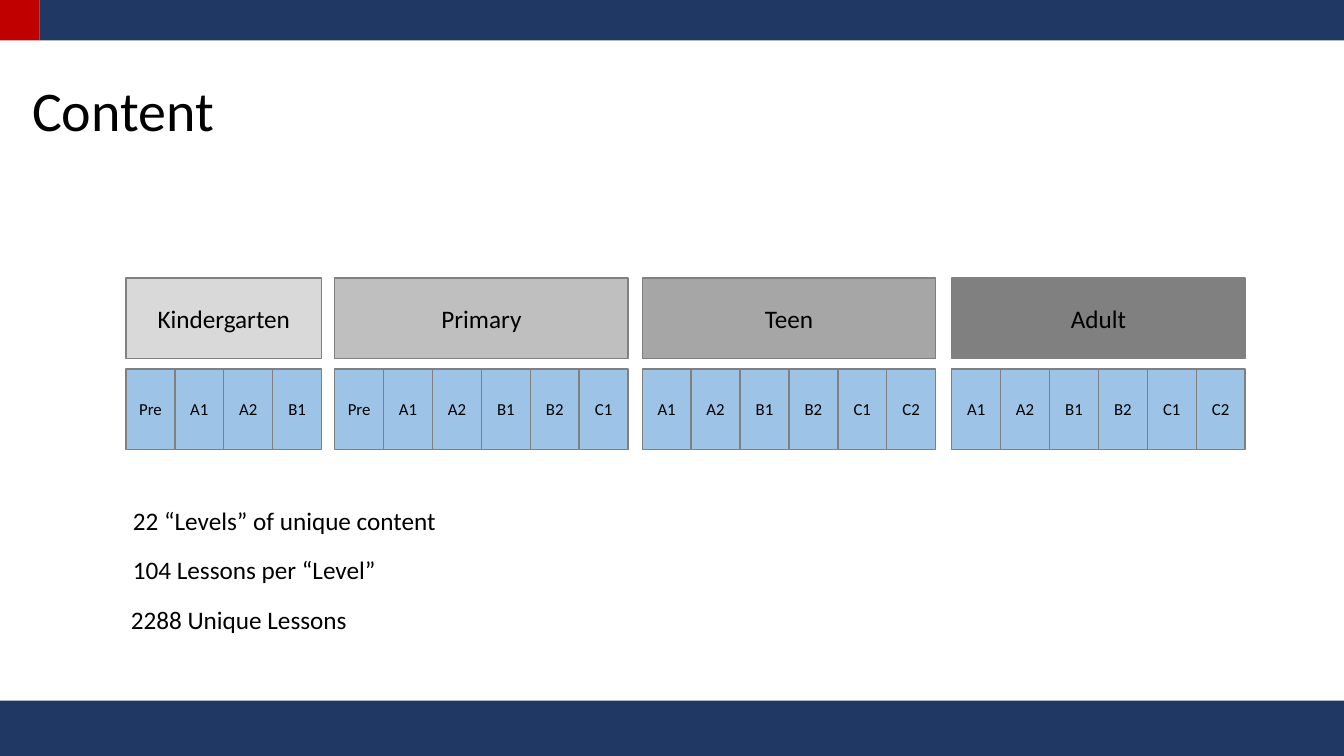
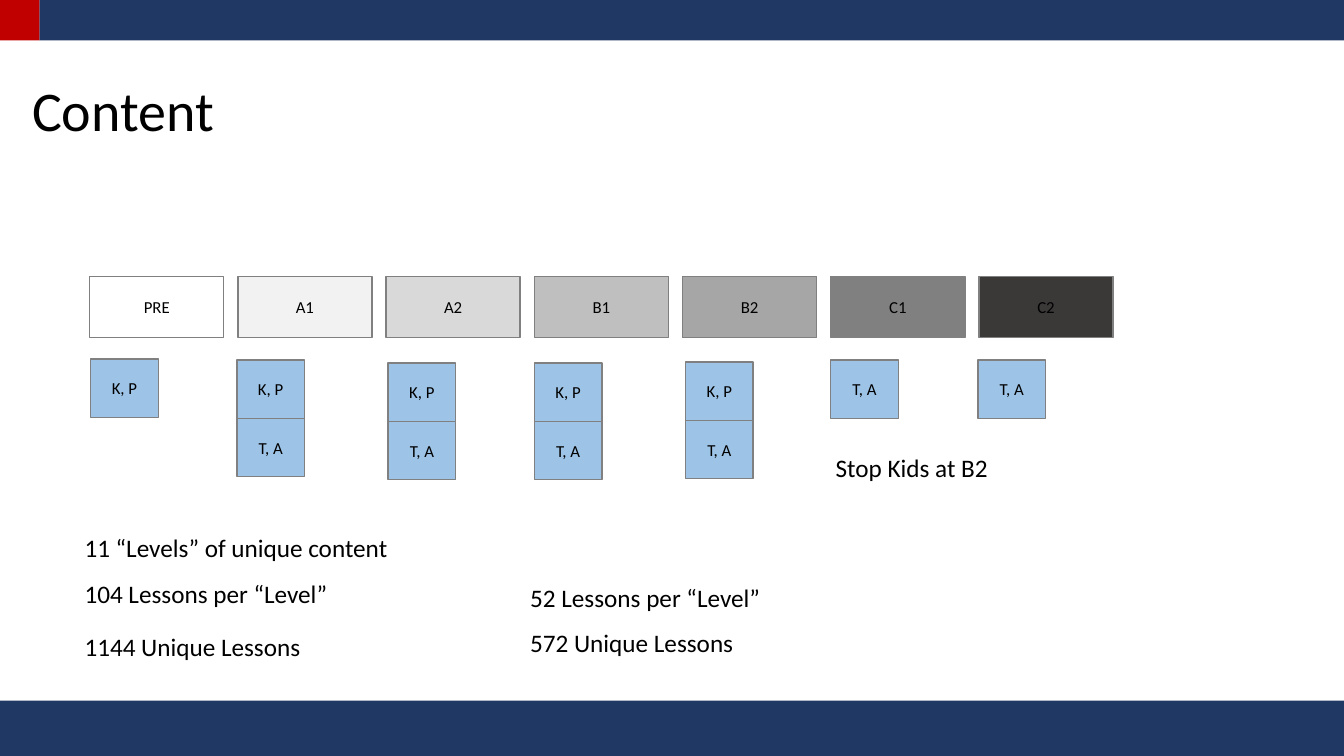
"""Build two slides that compare ways of dividing lesson content into levels."""
from typing import NamedTuple

from pptx import Presentation
from pptx import util as u
from pptx.dml.color import RGBColor
from pptx.enum import shapes, text

WIDTH, HEIGHT = 13.33, 7.5
FONT = "Calibri"
NAVY = RGBColor(0x20, 0x38, 0x64)
RED = RGBColor(0xC0, 0x00, 0x00)
BLUE = RGBColor(0x9D, 0xC3, 0xE6)
BLACK = RGBColor(0x00, 0x00, 0x00)
WHITE = RGBColor(0xFF, 0xFF, 0xFF)
MIST = RGBColor(0xF2, 0xF2, 0xF2)
PALE = RGBColor(0xD9, 0xD9, 0xD9)
SILVER = RGBColor(0xBF, 0xBF, 0xBF)
STEEL = RGBColor(0xA6, 0xA6, 0xA6)
GREY = RGBColor(0x80, 0x80, 0x80)
CHARCOAL = RGBColor(0x3B, 0x38, 0x38)

BAND_TOP, BAND_HEIGHT, CORNER = -0.01, 0.41, 0.39
FOOTER_TOP = 6.95
CELL_WIDTH, CELL_HEIGHT = 0.485, 0.8
GROUP_TOP, CELL_TOP = 2.76, 3.66
LEVEL_LEFT, LEVEL_TOP, LEVEL_PITCH = 0.89, 2.74, 1.47
LEVEL_WIDTH, LEVEL_HEIGHT = 1.33, 0.61
CHIP_WIDTH, CHIP_HEIGHT = 0.67, 0.58


class Group(NamedTuple):
    """An age group and the levels taught in it."""
    name: str
    left: float
    fill: RGBColor
    levels: str


class Level(NamedTuple):
    """A level, the age groups that share it, and where its chips start."""
    name: str
    fill: RGBColor
    chips: tuple[str, ...]
    shift: float
    chip_top: float


class Note(NamedTuple):
    """A line of free text."""
    words: str
    left: float
    top: float
    width: float


KIDS, OLDER = "K, P", "T, A"
GROUPS = (
    Group("Kindergarten", 1.25, PALE, "Pre A1 A2 B1"),
    Group("Primary", 3.32, SILVER, "Pre A1 A2 B1 B2 C1"),
    Group("Teen", 6.37, STEEL, "A1 A2 B1 B2 C1 C2"),
    Group("Adult", 9.44, GREY, "A1 A2 B1 B2 C1 C2"),
)
LEVELS = (
    Level("PRE", WHITE, (KIDS,), 0.01, 3.56),
    Level("A1", MIST, (KIDS, OLDER), -0.01, 3.57),
    Level("A2", PALE, (KIDS, OLDER), 0.02, 3.6),
    Level("B1", SILVER, (KIDS, OLDER), 0, 3.6),
    Level("B2", STEEL, (KIDS, OLDER), 0.03, 3.59),
    Level("C1", GREY, (OLDER,), 0, 3.57),
    Level("C2", CHARCOAL, (OLDER,), -0.01, 3.57),
)
GROUP_NOTES = (
    Note("22 “Levels” of unique content", 1.22, 4.96, 3.24),
    Note("104 Lessons per “Level”", 1.22, 5.45, 2.63),
    Note("2288 Unique Lessons", 1.2, 5.95, 2.37),
)
LEVEL_NOTES = (
    Note("Stop Kids at B2", 8.19, 4.44, 1.73),
    Note("11 “Levels” of unique content", 0.74, 5.23, 3.24),
    Note("104 Lessons per “Level”", 0.74, 5.69, 2.63),
    Note("1144 Unique Lessons", 0.74, 6.21, 2.37),
    Note("52 Lessons per “Level”", 5.16, 5.73, 2.51),
    Note("572 Unique Lessons", 5.16, 6.17, 2.24),
)


def write(frame, words: str, *, size: float = 18, align=text.PP_ALIGN.LEFT,
          anchor=text.MSO_ANCHOR.TOP, wrap: bool = False) -> None:
    """Put one formatted line of text into a frame."""
    frame.word_wrap = wrap
    frame.vertical_anchor = anchor
    para = frame.paragraphs[0]
    para.alignment = align
    span = para.add_run()
    span.text = words
    span.font.name = FONT
    span.font.size = u.Pt(size)
    span.font.color.rgb = BLACK


def add_block(page, left: float, top: float, width: float, height: float,
              fill: RGBColor):
    """Draw a plain filled rectangle."""
    block = page.shapes.add_shape(
        shapes.MSO_SHAPE.RECTANGLE,
        *map(u.Inches, (left, top, width, height)))
    block.shadow.inherit = False
    block.fill.solid()
    block.fill.fore_color.rgb = fill
    block.line.fill.background()
    return block


def add_label(page, words: str, left: float, top: float, width: float,
              height: float, fill: RGBColor, size: float = 12) -> None:
    """Draw an outlined rectangle with centred text."""
    block = add_block(page, left, top, width, height, fill)
    block.line.color.rgb = GREY
    block.line.width = u.Pt(1)
    write(block.text_frame, words, size=size, align=text.PP_ALIGN.CENTER,
          anchor=text.MSO_ANCHOR.MIDDLE, wrap=True)


def add_note(page, note: Note, size: float = 18, height: float = 0.4) -> None:
    """Draw a line of free text."""
    box = page.shapes.add_textbox(
        *map(u.Inches, (note.left, note.top, note.width, height)))
    write(box.text_frame, note.words, size=size)
    box.text_frame.auto_size = text.MSO_AUTO_SIZE.SHAPE_TO_FIT_TEXT


def add_page(deck, title: str, notes: tuple[Note, ...]):
    """Add a slide with the shared bands, its title and its notes."""
    page = deck.slides.add_slide(deck.slide_layouts[6])
    add_block(page, 0, FOOTER_TOP, WIDTH, HEIGHT - FOOTER_TOP, NAVY)
    add_block(page, CORNER, BAND_TOP, WIDTH - CORNER, BAND_HEIGHT, NAVY)
    add_block(page, 0, BAND_TOP, CORNER, BAND_HEIGHT, RED)
    add_note(page, Note(title, 0.22, 0.7, 2.01), size=40, height=0.77)
    for note in notes:
        add_note(page, note)
    return page


def add_group(page, group: Group) -> None:
    """Draw an age group above a row of its levels."""
    levels = group.levels.split()
    add_label(page, group.name, group.left, GROUP_TOP,
              CELL_WIDTH * len(levels), CELL_HEIGHT, group.fill, size=18)
    for column, level in enumerate(levels):
        add_label(page, level, group.left + column * CELL_WIDTH, CELL_TOP,
                  CELL_WIDTH, CELL_HEIGHT, BLUE)


def add_level(page, column: int, level: Level) -> None:
    """Draw a level above a stack of the age groups that share it."""
    left = LEVEL_LEFT + column * LEVEL_PITCH
    add_label(page, level.name, left, LEVEL_TOP, LEVEL_WIDTH, LEVEL_HEIGHT,
              level.fill)
    for row, chip in enumerate(level.chips):
        add_label(page, chip, left + level.shift,
                  level.chip_top + row * CHIP_HEIGHT,
                  CHIP_WIDTH, CHIP_HEIGHT, BLUE)


def main() -> None:
    """Build and save the deck."""
    deck = Presentation()
    deck.slide_width, deck.slide_height = u.Inches(WIDTH), u.Inches(HEIGHT)
    group_page = add_page(deck, "Content", GROUP_NOTES)
    for group in GROUPS:
        add_group(group_page, group)
    level_page = add_page(deck, "Content", LEVEL_NOTES)
    for column, level in enumerate(LEVELS):
        add_level(level_page, column, level)
    deck.save("out.pptx")


if __name__ == "__main__":
    main()
